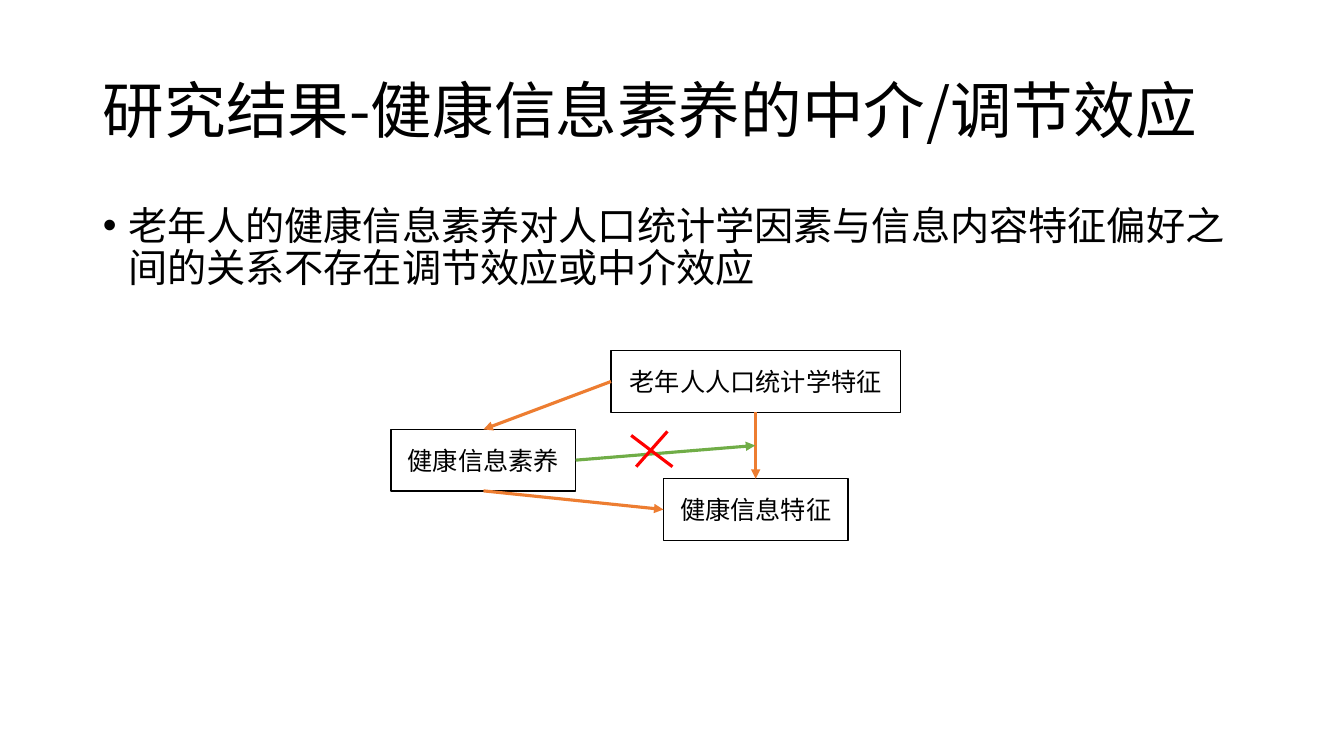
"""Build the slide on the mediating and moderating effect of health information literacy."""
from pptx import Presentation
from pptx.dml.color import RGBColor as RGB
from pptx.enum.shapes import MSO_CONNECTOR as CXN, MSO_SHAPE as SHAPE
from pptx.enum.text import MSO_ANCHOR as ANCHOR, MSO_AUTO_SIZE as FIT, PP_ALIGN as ALIGN
from pptx.oxml.ns import qn
from pptx.util import Inches, Pt
from lxml.etree import SubElement

THEME = {
    "font": "Noto Sans CJK SC",
    "text": RGB(0, 0, 0), "paper": RGB(255, 255, 255),
    "effect": RGB(0xED, 0x7D, 0x31), "moderation": RGB(0x70, 0xAD, 0x47), "cross": RGB(255, 0, 0),
    "title": Pt(44), "body": Pt(28), "label": Pt(18),
    "border": Pt(1), "stroke": Pt(2.25),
}
TOP, LEFT, BOTTOM, RIGHT = range(4)


def write(sp, text, size, anchor, **paragraph):
    tf = sp.text_frame
    for name, value in dict(word_wrap=True, auto_size=FIT.NONE, vertical_anchor=anchor).items():
        setattr(tf, name, value)
    p = tf.paragraphs[0]
    for name, value in paragraph.items():
        setattr(p, name, value)
    r = p.add_run()
    r.text = text
    for name, value in dict(name=THEME["font"], size=THEME[size]).items():
        setattr(r.font, name, value)
    r.font.color.rgb = THEME["text"]
    SubElement(r.font._element, qn("a:ea"), typeface=THEME["font"])
    return p


def draw_line(start, end, color, arrow=True):
    (x1, y1), (x2, y2) = start, end
    line = slide.shapes.add_connector(CXN.STRAIGHT, *map(Inches, (x1, y1, x2, y2)))
    line.line.color.rgb = THEME[color]
    line.line.width = THEME["stroke"]
    if arrow:
        SubElement(line.line._get_or_add_ln(), qn("a:tailEnd"), type="triangle")
    SubElement(line._element.spPr, qn("a:effectLst"))
    return line


prs = Presentation()
prs.slide_width, prs.slide_height = Inches(13.33), Inches(7.5)
slide = prs.slides.add_slide(prs.slide_layouts[1])

title, body = slide.placeholders
for sp, top, height in ((title, 0.4, 1.45), (body, 2, 4.76)):
    sp.left, sp.top, sp.width, sp.height = map(Inches, (0.92, top, 11.5, height))
write(title, "研究结果-健康信息素养的中介/调节效应", "title", ANCHOR.MIDDLE,
      alignment=ALIGN.LEFT, line_spacing=0.9)
p = write(body, "老年人的健康信息素养对人口统计学因素与信息内容特征偏好之间的关系不存在调节效应或中介效应",
          "body", ANCHOR.TOP, alignment=ALIGN.LEFT, line_spacing=0.9, space_before=Pt(10))
pPr = p._p.get_or_add_pPr()
pPr.set("marL", str(Inches(0.25)))
pPr.set("indent", str(Inches(-0.25)))
SubElement(pPr, qn("a:buFont"), typeface="Arial")
SubElement(pPr, qn("a:buChar"), char="•")

boxes = []
for text, left, top, width in (
    ("老年人人口统计学特征", 6.06, 3.48, 2.87),
    ("健康信息素养", 3.88, 4.26, 1.83),
    ("健康信息特征", 6.58, 4.75, 1.83),
):
    sp = slide.shapes.add_shape(SHAPE.RECTANGLE, *map(Inches, (left, top, width, 0.61)))
    sp.shadow.inherit = False
    sp.fill.solid()
    sp.fill.fore_color.rgb = THEME["paper"]
    sp.line.color.rgb = THEME["text"]
    sp.line.width = THEME["border"]
    write(sp, text, "label", ANCHOR.MIDDLE, alignment=ALIGN.CENTER)
    boxes.append(sp)
demographics, literacy, features = boxes

for source, source_side, target, target_side, start, end in (
    (demographics, LEFT, literacy, TOP, (6.06, 3.78), (4.79, 4.26)),
    (demographics, BOTTOM, features, TOP, (7.49, 4.09), (7.49, 4.75)),
    (literacy, BOTTOM, features, LEFT, (4.79, 4.87), (6.58, 5.05)),
):
    line = draw_line(start, end, "effect")
    line.begin_connect(source, source_side)
    line.end_connect(target, target_side)

draw_line((5.71, 4.57), (7.49, 4.42), "moderation").begin_connect(literacy, RIGHT)
for start, end in (((6.26, 4.32), (6.67, 4.63)), ((6.31, 4.63), (6.62, 4.28))):
    draw_line(start, end, "cross", arrow=False)

prs.save("out.pptx")
